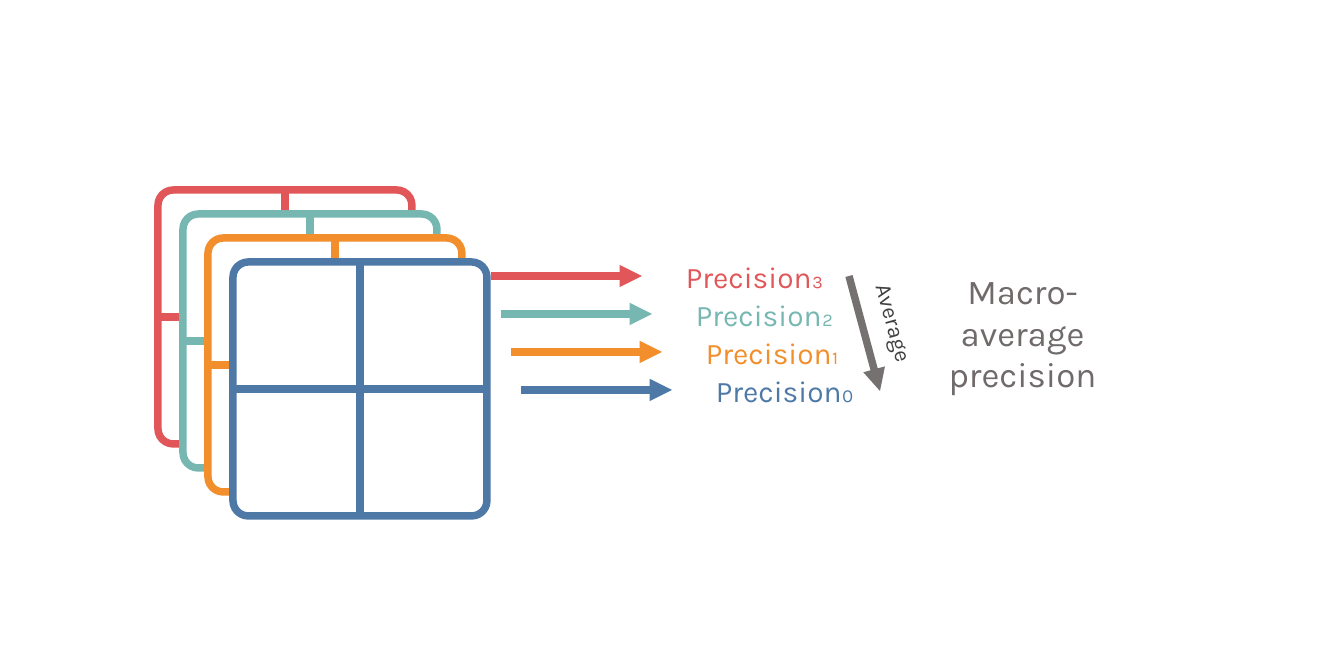
from dataclasses import dataclass

from lxml.etree import SubElement
from pptx import Presentation
from pptx.dml.color import RGBColor
from pptx.enum.shapes import MSO_CONNECTOR as Connector, MSO_SHAPE as Shape
from pptx.enum.text import MSO_AUTO_SIZE as AutoSize, PP_ALIGN as Align
from pptx.oxml.ns import qn
from pptx.util import Emu, Pt


@dataclass(frozen=True)
class Theme:
    font: str = "Karla"
    paper: str = "FFFFFF"
    red: str = "E15759"
    teal: str = "76B7B2"
    orange: str = "F28E2B"
    blue: str = "4E79A7"
    arrow: str = "767171"
    caption: str = "404040"
    result: str = "706A6A"
    label_size: int = 24
    caption_size: int = 18
    result_size: int = 28
    stroke: int = 6


THEME = Theme()

# Classes from the back of the stack to the front
CLASSES = [
    ("Precision₃", THEME.red),
    ("Precision₂", THEME.teal),
    ("Precision₁", THEME.orange),
    ("Precision₀", THEME.blue),
]
CAPTION = "Average"
RESULT = ["Macro-average", "precision"]

# Layout in px
PAGE_SIZE = (1344, 672)
CARD_START, CARD_STEP, CARD_SIZE = (158, 190), (25, 24), 254
ROW_STEP = (10, 38)
ARROW_START, ARROW_LENGTH = (491, 276), 151
LABEL_START, LABEL_SIZE = (677, 254), (173, 45)
AVERAGE_ARROW = (849, 276, 880, 391)
CAPTION_BOX, CAPTION_ANGLE = (775, 305, 239, 36), 74.4
RESULT_BOX = (904, 265, 237, 135)


def px(*lengths):
    return [Emu(round(length * 914400 / 89.6)) for length in lengths]


def rgb(colour):
    return RGBColor.from_string(colour)


def place(start, step, index):
    return [first + gap * index for first, gap in zip(start, step)]


def add_line(shapes, ends, colour, arrow=False):
    line = shapes.add_connector(Connector.STRAIGHT, *px(*ends))
    line.line.color.rgb = rgb(colour)
    line.line.width = Pt(THEME.stroke)
    properties = line.element.spPr
    if arrow:
        SubElement(properties.find(qn("a:ln")), qn("a:tailEnd"), type="triangle")
    SubElement(properties, qn("a:effectLst"))
    return line


def add_text(page, area, lines, size, colour, align=Align.LEFT):
    box = page.shapes.add_textbox(*px(*area))
    frame = box.text_frame
    frame.word_wrap = True
    frame.auto_size = AutoSize.SHAPE_TO_FIT_TEXT
    frame.text = "\n".join(lines)
    for para in frame.paragraphs:
        para.alignment = align
        for span in para.runs:
            span.font.color.rgb = rgb(colour)
            for name, value in {"name": THEME.font, "size": Pt(size)}.items():
                setattr(span.font, name, value)
    return box


def add_matrix_card(page, left, top, colour):
    """Group a rounded square with the two lines that quarter it."""
    shapes = page.shapes.add_group_shape().shapes
    card = shapes.add_shape(Shape.ROUNDED_RECTANGLE,
                            *px(left, top, CARD_SIZE, CARD_SIZE))
    card.adjustments[0] = 0.06
    card.shadow.inherit = False
    card.fill.solid()
    card.fill.fore_color.rgb = rgb(THEME.paper)
    card.line.color.rgb = rgb(colour)
    card.line.width = Pt(THEME.stroke)
    for begin, end in [(0, 2), (1, 3)]:
        divider = add_line(shapes, (left, top, left, top), colour)
        divider.begin_connect(card, begin)
        divider.end_connect(card, end)


def main():
    deck = Presentation()
    deck.slide_width, deck.slide_height = px(*PAGE_SIZE)
    page = deck.slides.add_slide(deck.slide_layouts[6])

    for index, (label, colour) in enumerate(CLASSES):
        add_matrix_card(page, *place(CARD_START, CARD_STEP, index), colour)

    for index, (label, colour) in enumerate(CLASSES):
        left, top = place(ARROW_START, ROW_STEP, index)
        add_line(page.shapes, (left, top, left + ARROW_LENGTH, top), colour, arrow=True)
        corner = place(LABEL_START, ROW_STEP, index)
        add_text(page, (*corner, *LABEL_SIZE), [label], THEME.label_size, colour)

    add_line(page.shapes, AVERAGE_ARROW, THEME.arrow, arrow=True)
    caption = add_text(page, CAPTION_BOX, [CAPTION], THEME.caption_size,
                       THEME.caption, Align.CENTER)
    caption.rotation = CAPTION_ANGLE
    add_text(page, RESULT_BOX, RESULT, THEME.result_size, THEME.result, Align.CENTER)

    deck.save("out.pptx")


if __name__ == "__main__":
    main()
